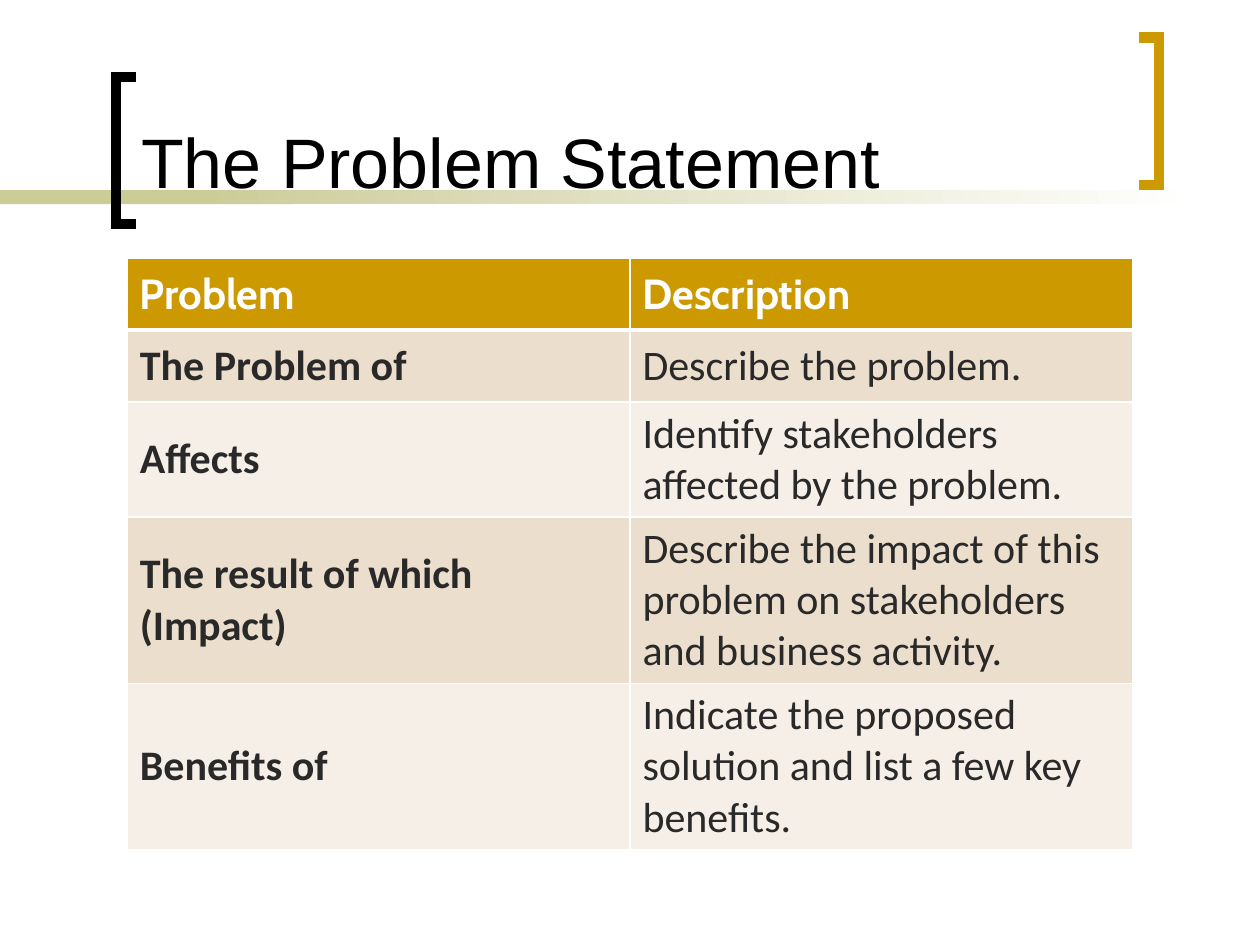
"""Build a title slide section with bracket ornaments and a problem statement table."""
import lxml.etree
import pptx
import pptx.dml.color
import pptx.enum.shapes
import pptx.enum.text
import pptx.oxml.ns
import pptx.util

COLS, ROWS = 1000, 750
GOLD, SAND, WHITE, BLACK, INK = "CC9900", "CCCC99", "FFFFFF", "000000", "292929"
BANDS = ["F6EFE7", "ECDECC"]


def rgb(color):
    return pptx.dml.color.RGBColor.from_string(color)


def write(tf, text, font="Calibri", size=24, color=INK, bold=False, anchor="MIDDLE"):
    tf.word_wrap = True
    tf.vertical_anchor = pptx.enum.text.MSO_ANCHOR[anchor]
    p = tf.paragraphs[0]
    p.alignment = pptx.enum.text.PP_ALIGN.LEFT
    r = p.add_run()
    r.text = text
    r.font.name, r.font.size, r.font.bold = font, pptx.util.Pt(size), bold
    r.font.color.rgb = rgb(color)


prs = pptx.Presentation()
prs.slide_width, prs.slide_height = pptx.util.Inches(10), pptx.util.Inches(7.5)
u = prs.slide_width // COLS
s = prs.slides.add_slide(prs.slide_layouts[5])
qn = pptx.oxml.ns.qn

for left, width, end in [(0, 233, SAND), (158, 792, WHITE)]:
    sp = s.shapes.add_shape(pptx.enum.shapes.MSO_SHAPE.RECTANGLE, left * u, 151 * u, width * u, 11 * u)
    sp.shadow.inherit = False
    sp.line.fill.background()
    if end == SAND:
        sp.fill.solid()
        sp.fill.fore_color.rgb = rgb(SAND)
    else:
        sp.fill.gradient()
        sp.fill.gradient_angle = 0
        for stop, color, position in zip(sp.fill.gradient_stops, [SAND, end], [0, 1]):
            stop.color.rgb, stop.position = rgb(color), position

for tip, spine, top, color in [(108, 92, 61, BLACK), (904, 920, 30, GOLD)]:
    bottom = top + 117
    builder = s.shapes.build_freeform(tip * u, top * u)
    builder.add_line_segments([(x * u, y * u) for x, y in [(spine, top), (spine, bottom), (tip, bottom)]], close=False)
    sp = builder.convert_to_shape()
    sp.shadow.inherit = False
    sp.fill.background()
    sp.line.color.rgb, sp.line.width = rgb(color), pptx.util.Pt(6)
    lxml.etree.SubElement(sp.line._get_or_add_ln(), qn("a:miter"), lim="800000")

title = s.shapes.title
title.left, title.top, title.width, title.height = 102 * u, 11 * u, 783 * u, 155 * u
write(title.text_frame, "The Problem Statement", font="Arial", size=40, color=BLACK, anchor="BOTTOM")
s.shapes._spTree.append(title._element)

content = [
    ("Problem", "Description"),
    ("The Problem of", "Describe the problem."),
    ("Affects", "Identify stakeholders affected by the problem."),
    ("The result of which (Impact)", "Describe the impact of this problem on stakeholders and business activity."),
    ("Benefits of", "Indicate the proposed solution and list a few key benefits."),
]
heights = [57, 57, 91, 132, 132]
table = s.shapes.add_table(len(content), 2, 101 * u, 205 * u, 798 * u, sum(heights) * u).table
for i, (texts, height) in enumerate(zip(content, heights)):
    table.rows[i].height = height * u
    for j, text in enumerate(texts):
        cell = table.cell(i, j)
        header = i == 0
        style = {"font": "Cabin", "color": WHITE} if header else {}
        write(cell.text_frame, text, bold=header or j == 0, **style)
        cell.vertical_anchor = pptx.enum.text.MSO_ANCHOR.MIDDLE
        for side in "LRTB":
            thick = (header and side == "B") or (i == 1 and side == "T")
            width = pptx.util.Pt(3 if thick else 1)
            ln = lxml.etree.SubElement(cell._tc.get_or_add_tcPr(), qn(f"a:ln{side}"), w=str(width))
            fill = lxml.etree.SubElement(ln, qn("a:solidFill"))
            lxml.etree.SubElement(fill, qn("a:srgbClr"), val=WHITE)
        cell.fill.solid()
        cell.fill.fore_color.rgb = rgb(GOLD if header else BANDS[i % 2])

prs.save("out.pptx")
